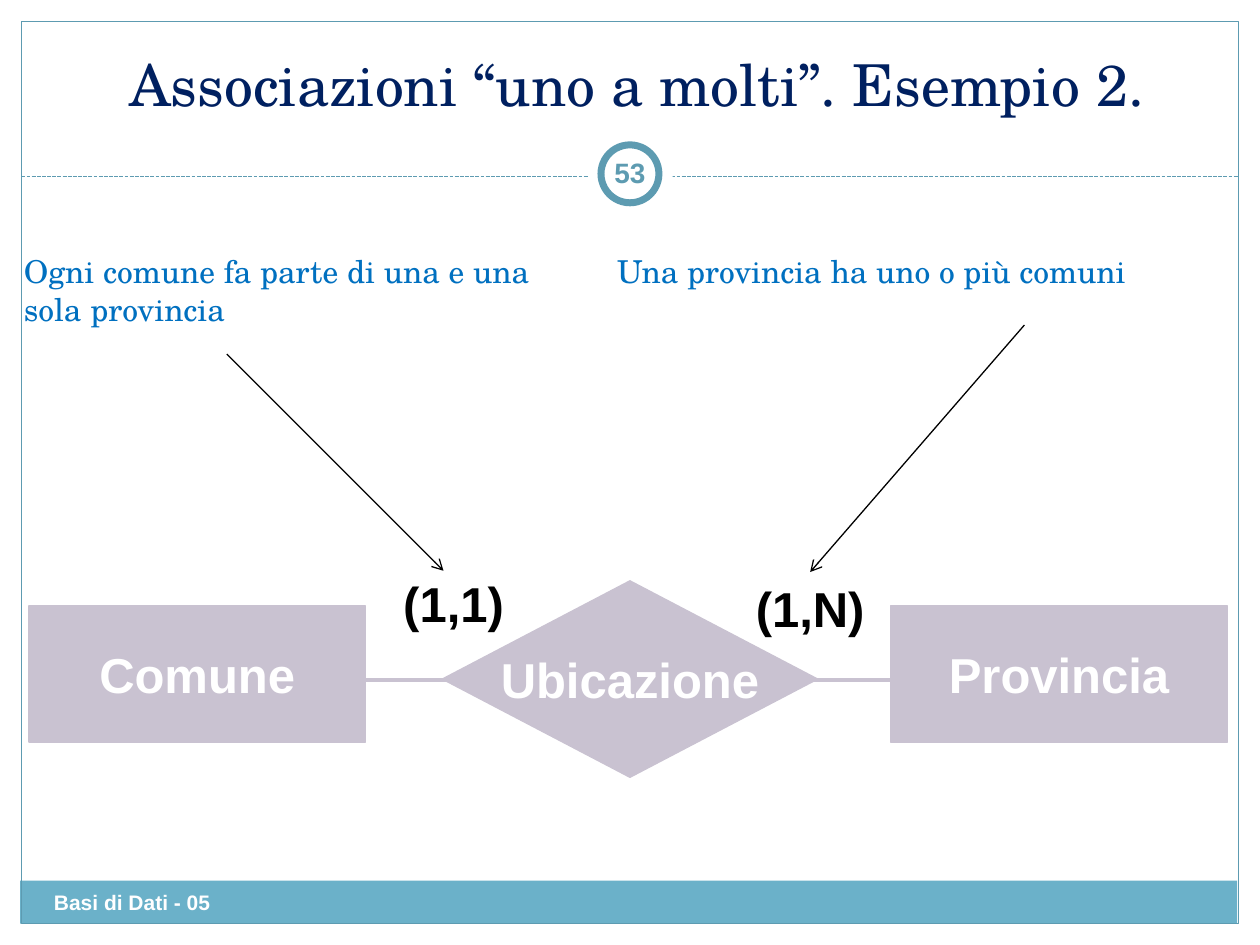
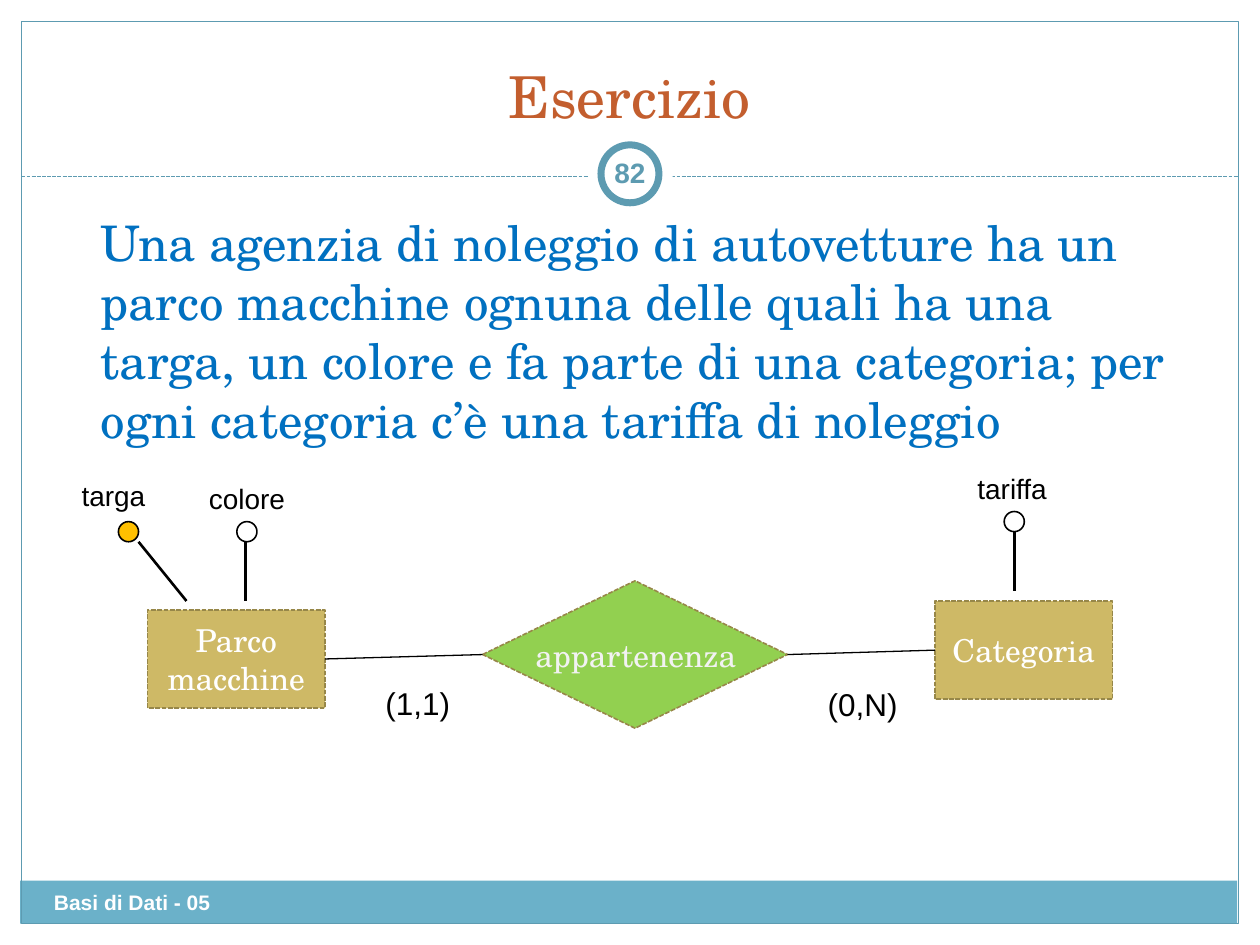
from pptx import Presentation
from pptx.dml.color import RGBColor
from pptx.enum.dml import MSO_LINE
from pptx.enum.shapes import MSO_CONNECTOR, MSO_SHAPE
from pptx.enum.text import MSO_ANCHOR, MSO_AUTO_SIZE, PP_ALIGN
from pptx.oxml.ns import qn
from pptx.util import Inches, Pt
from lxml.etree import SubElement

WHITE = RGBColor(0xFF, 0xFF, 0xFF)
PALE = RGBColor(0xF2, 0xF2, 0xF2)
BLACK = RGBColor(0x00, 0x00, 0x00)
TEAL = RGBColor(0x5D, 0x9B, 0xB1)
BAND = RGBColor(0x6B, 0xB1, 0xC9)
NAVY = RGBColor(0x00, 0x20, 0x60)
RUST = RGBColor(0xC3, 0x5E, 0x2E)
BLUE = RGBColor(0x00, 0x70, 0xC0)
LILAC = RGBColor(0xC9, 0xC2, 0xD1)
SAND = RGBColor(0xCE, 0xB9, 0x66)
OLIVE = RGBColor(0x97, 0x87, 0x49)
GREEN = RGBColor(0x92, 0xD0, 0x50)
AMBER = RGBColor(0xFF, 0xC0, 0x00)

SERIF, SANS = "TeX Gyre Schola", "Arial"
STYLES = {
    "title": dict(name=SERIF, size=Pt(33), bold=False),
    "body": dict(name=SERIF, size=Pt(28), bold=False),
    "note": dict(name=SERIF, size=Pt(18), bold=False),
    "strong": dict(name=SANS, size=Pt(28), bold=True),
    "card": dict(name=SANS, size=Pt(18), bold=False),
    "label": dict(name=SANS, size=Pt(16), bold=False),
    "number": dict(name=SANS, size=Pt(16), bold=True),
    "footer": dict(name=SANS, size=Pt(12), bold=True),
}
TOP, MID, LOW = MSO_ANCHOR.TOP, MSO_ANCHOR.MIDDLE, MSO_ANCHOR.BOTTOM
LEFT, CENTER = PP_ALIGN.LEFT, PP_ALIGN.CENTER


class Deck:
    def __init__(self):
        self.prs = Presentation()
        self.prs.slide_width, self.prs.slide_height = Inches(10), Inches(7.5)
        self.slide = None

    def letter(self, shape, text, style, color, align=CENTER, anchor=MID, wrap=True):
        frame = shape.text_frame
        frame.text = text
        frame.auto_size = MSO_AUTO_SIZE.NONE
        frame.word_wrap, frame.vertical_anchor = wrap, anchor
        for para in frame.paragraphs:
            para.alignment = align
            for key, value in STYLES[style].items():
                setattr(para.font, key, value)
            para.font.color.rgb = color

    def shape(self, kind, box, fill=None, line=None, width=0.75, dash=None):
        item = self.slide.shapes.add_shape(kind, *map(Inches, box))
        item.shadow.inherit = False
        for part, color in ((item.fill, fill), (item.line.fill, line)):
            if color is None:
                part.background()
            else:
                part.solid()
                part.fore_color.rgb = color
        if line is not None:
            item.line.width = Pt(width)
            if dash:
                item.line.dash_style = dash
        return item

    def text(self, text, box, style, color, align=LEFT, anchor=TOP, wrap=False):
        item = self.slide.shapes.add_textbox(*map(Inches, box))
        self.letter(item, text, style, color, align, anchor, wrap)
        return item

    def line(self, start, end, color=BLACK, width=0.75, dash=None, arrow=False):
        item = self.slide.shapes.add_connector(
            MSO_CONNECTOR.STRAIGHT, *map(Inches, (*start, *end)))
        item.line.color.rgb = color
        item.line.width = Pt(width)
        if dash:
            item.line.dash_style = dash
        if arrow:
            outline = item._element.spPr.find(qn("a:ln"))
            SubElement(outline, qn("a:tailEnd"), type="arrow")
        SubElement(item._element.spPr, qn("a:effectLst"))
        return item

    def link(self, one, two):
        """Join the right side of one shape to the left side of the next."""
        item = self.line((0, 0), (1, 1))
        item.begin_connect(one, 3)
        item.end_connect(two, 1)

    def field(self, name, x, y, color, label, root):
        """An attribute: a stem, a small circle and its name."""
        size = 0.16
        self.line(root, (root[0] if color == WHITE else x + size, y + size), width=1.5)
        self.shape(MSO_SHAPE.OVAL, (x, y, size, size), color, BLACK, 0.91)
        self.text(name, (*label, 0.86, 0.37), "label", BLACK, wrap=True)

    def page(self, title, number, color, left, top):
        self.slide = self.prs.slides.add_slide(self.prs.slide_layouts[5])
        # Footer band, frame and dashed rule
        self.shape(MSO_SHAPE.RECTANGLE, (0.16, 6.99, 9.66, 0.34), BAND)
        self.shape(MSO_SHAPE.RECTANGLE, (0.17, 0.17, 9.66, 7.16), line=TEAL)
        self.line((0.17, 1.4), (9.83, 1.4), TEAL, dash=MSO_LINE.SQUARE_DOT)
        # Number ring
        self.shape(MSO_SHAPE.OVAL, (4.67, 1.05, 0.67, 0.67), WHITE)
        self.shape(MSO_SHAPE.OVAL, (4.77, 1.15, 0.46, 0.46), WHITE, TEAL, 4)
        self.text(number, (4.75, 1.13, 0.5, 0.48), "number", TEAL, CENTER, MID)
        self.text("Basi di Dati - 05", (0.33, 7.01, 3.92, 0.4), "footer", WHITE, wrap=True)
        # Title
        head = self.slide.shapes.title
        head.left, head.top, head.width, head.height = map(Inches, (left, top, 9.33, 0.83))
        self.letter(head, title, "title", color, anchor=LOW)


def town(deck):
    deck.page("Associazioni “uno a molti”. Esempio 2.", "53", NAVY, 0.39, 0.16)
    # Entities and relation
    deck.line((2.73, 5.4), (7.32, 5.4), LILAC, 2.25)
    for name, kind, box in (
        ("Ubicazione", MSO_SHAPE.DIAMOND, (3.51, 4.61, 2.98, 1.56)),
        ("Comune", MSO_SHAPE.RECTANGLE, (0.23, 4.81, 2.67, 1.08)),
        ("Provincia", MSO_SHAPE.RECTANGLE, (7.07, 4.81, 2.67, 1.08)),
    ):
        deck.letter(deck.shape(kind, box, LILAC, LILAC), name, "strong", WHITE, wrap=False)
    # Cardinalities, with the rules that explain them
    deck.text("(1,1)", (3.1, 4.5, 1, 0.57), "strong", BLACK, CENTER, MID)
    deck.text("(1,N)", (5.9, 4.54, 1.06, 0.57), "strong", BLACK, CENTER, MID)
    deck.text("Ogni comune fa parte di una e una\nsola provincia",
              (0.09, 1.95, 4.39, 0.7), "note", BLUE)
    deck.text("Una provincia ha uno o più comuni", (4.8, 1.95, 4.42, 0.4), "note", BLUE)
    deck.line((1.8, 2.81), (3.52, 4.53), arrow=True)
    deck.line((8.13, 2.58), (6.43, 4.54), arrow=True)


def rental(deck):
    deck.page("Esercizio", "82", RUST, 0.33, 0.25)
    deck.text("Una agenzia di noleggio di autovetture ha un parco macchine ognuna "
              "delle quali ha una targa, un colore e fa parte di una categoria; "
              "per ogni categoria c’è una tariffa di noleggio",
              (0.7, 1.64, 8.91, 1.97), "body", BLUE, wrap=True)
    # Entities and relation
    edge = dict(line=OLIVE, width=0.91, dash=MSO_LINE.SQUARE_DOT)
    fleet = deck.shape(MSO_SHAPE.RECTANGLE, (1.17, 4.84, 1.41, 0.78), SAND, **edge)
    bond = deck.shape(MSO_SHAPE.DIAMOND, (3.83, 4.61, 2.42, 1.17), GREEN, **edge)
    group = deck.shape(MSO_SHAPE.RECTANGLE, (7.42, 4.77, 1.41, 0.78), SAND, **edge)
    deck.letter(fleet, "Parco macchine", "note", WHITE)
    deck.letter(group, "Categoria", "note", WHITE)
    deck.text("appartenenza", (4.15, 5, 1.85, 0.4), "note", PALE)
    deck.link(fleet, bond)
    deck.link(bond, group)
    # Attributes
    deck.field("targa", 0.94, 4.14, AMBER, (0.55, 3.75), (1.48, 4.77))
    deck.field("colore", 1.88, 4.14, WHITE, (1.56, 3.77), (1.95, 4.77))
    deck.field("tariffa", 7.97, 4.06, WHITE, (7.66, 3.69), (8.05, 4.69))
    # Cardinalities
    deck.text("(1,1)", (2.96, 5.38, 0.71, 0.4), "card", BLACK)
    deck.text("(0,N)", (6.47, 5.39, 0.75, 0.4), "card", BLACK)


def main():
    deck = Deck()
    town(deck)
    rental(deck)
    deck.prs.save("out.pptx")


if __name__ == "__main__":
    main()
